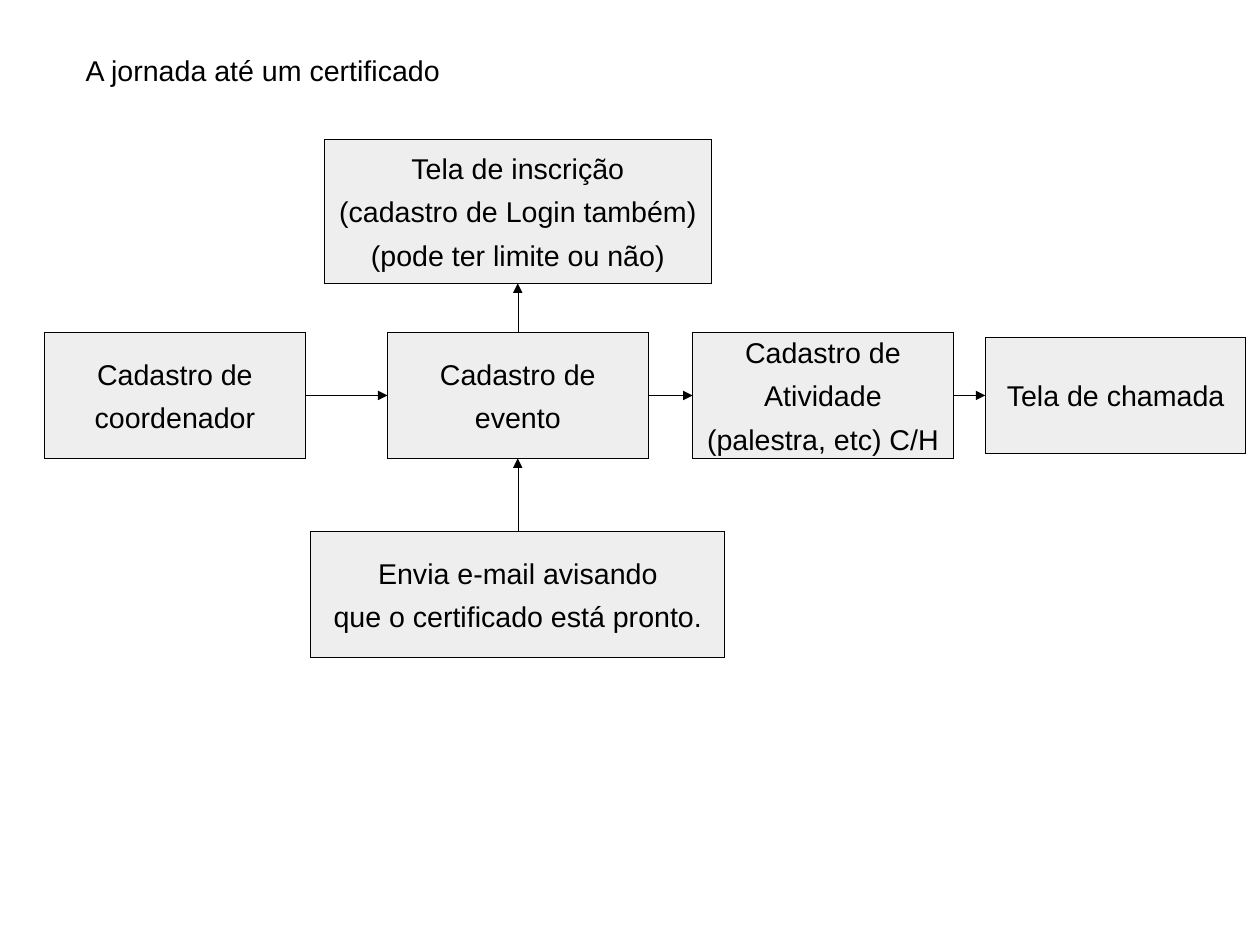
from dataclasses import dataclass

from lxml import etree
from pptx import Presentation
from pptx.dml.color import RGBColor
from pptx.enum import shapes, text
from pptx.oxml import ns
from pptx.util import Cm, Inches, Pt

TITLE = "A jornada até um certificado"
ROW_Y, COL_X = 3.46, 4.53
# name: (centre x, centre y, width, height, lines)
STEPS = {
    "coordenador": (1.53, ROW_Y, 2.28, 1.1, ["Cadastro de", "coordenador"]),
    "evento": (COL_X, ROW_Y, 2.28, 1.1, ["Cadastro de", "evento"]),
    "atividade": (7.2, ROW_Y, 2.28, 1.1,
                  ["Cadastro de", "Atividade", "(palestra, etc) C/H"]),
    "inscricao": (COL_X, 1.85, 3.39, 1.26,
                  ["Tela de inscrição", "(cadastro de Login também)",
                   "(pode ter limite ou não)"]),
    "chamada": (9.76, ROW_Y, 2.28, 1.02, ["Tela de chamada"]),
    "email": (COL_X, 5.2, 3.62, 1.1,
              ["Envia e-mail avisando", "que o certificado está pronto."]),
}
TOP, LEFT, BOTTOM, RIGHT = range(4)
ARROWS = [
    ("coordenador", RIGHT, "evento", LEFT),
    ("evento", TOP, "inscricao", BOTTOM),
    ("evento", RIGHT, "atividade", LEFT),
    ("atividade", RIGHT, "chamada", LEFT),
    ("email", TOP, "evento", BOTTOM),
]


@dataclass(frozen=True)
class Theme:
    ink: RGBColor = RGBColor(0, 0, 0)
    box: RGBColor = RGBColor(0xEE, 0xEE, 0xEE)
    font: str = "Arial"
    size: Pt = Pt(18)
    gap: Pt = Pt(5.7)
    line: str = "0"


THEME = Theme()


def write(sp, lines, align, anchor, after=Pt(0), fit=text.MSO_AUTO_SIZE.NONE):
    tf = sp.text_frame
    tf.word_wrap = False
    tf.auto_size = fit
    tf.vertical_anchor = anchor
    tf.margin_left = tf.margin_right = Inches(0.1)
    tf.margin_top = tf.margin_bottom = Inches(0.05)
    tf.text = "\n".join(lines)
    for p in tf.paragraphs:
        p.alignment = align
        p.space_after = after
        f = p.runs[0].font
        f.name, f.size = THEME.font, THEME.size
        f.color.rgb = THEME.ink


def style_line(sp):
    sp.line.color.rgb = THEME.ink
    ln = sp._element.spPr.find(ns.qn("a:ln"))
    ln.set("w", THEME.line)
    return ln


def add_step(s, x, y, w, h, lines):
    sp = s.shapes.add_shape(shapes.MSO_SHAPE.RECTANGLE, Inches(x - w / 2),
                            Inches(y - h / 2), Inches(w), Inches(h))
    sp.shadow.inherit = False
    sp.fill.solid()
    sp.fill.fore_color.rgb = THEME.box
    style_line(sp)
    write(sp, lines, text.PP_ALIGN.CENTER, text.MSO_ANCHOR.MIDDLE, THEME.gap)
    return sp


def add_arrow(s, start, start_side, end, end_side):
    cxn = s.shapes.add_connector(shapes.MSO_CONNECTOR.STRAIGHT, 0, 0, 0, 0)
    cxn.begin_connect(start, start_side)
    cxn.end_connect(end, end_side)
    ln = style_line(cxn)
    etree.SubElement(ln, ns.qn("a:tailEnd"), type="triangle")
    etree.SubElement(cxn._element.spPr, ns.qn("a:effectLst"))


def main():
    prs = Presentation()
    prs.slide_width, prs.slide_height = Cm(28), Cm(21)
    s = prs.slides.add_slide(prs.slide_layouts[5])
    title = s.shapes.title
    title.left, title.top = Inches(0.65), Inches(0.41)
    title.width, title.height = Inches(3.3), Inches(0.38)
    write(title, [TITLE], text.PP_ALIGN.LEFT, text.MSO_ANCHOR.TOP,
          fit=text.MSO_AUTO_SIZE.SHAPE_TO_FIT_TEXT)
    boxes = {name: add_step(s, *step) for name, step in STEPS.items()}
    for start, start_side, end, end_side in ARROWS:
        add_arrow(s, boxes[start], start_side, boxes[end], end_side)
    prs.save("out.pptx")


if __name__ == "__main__":
    main()
